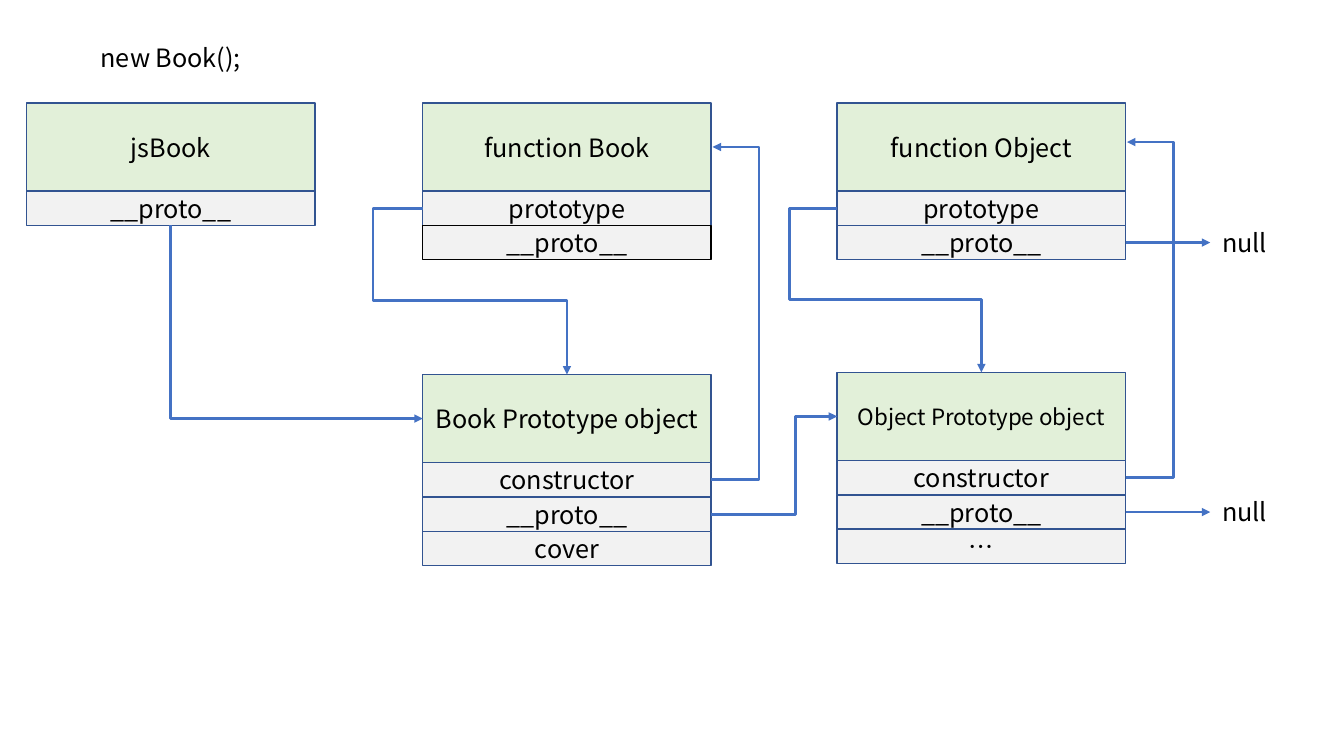
from dataclasses import dataclass

from lxml.etree import SubElement
from pptx import Presentation
from pptx.dml.color import RGBColor
from pptx.enum.shapes import MSO_CONNECTOR, MSO_SHAPE
from pptx.enum.text import MSO_ANCHOR, PP_ALIGN
from pptx.oxml.ns import qn
from pptx.util import Pt


@dataclass(frozen=True)
class Theme:
    font: str = "Noto Sans CJK KR"
    size: float = 18
    small: float = 16
    text: str = "000000"
    header: str = "E2F0D9"
    row: str = "F2F2F2"
    border: str = "325491"
    arrow: str = "4472C4"


T = Theme()
BOX_W, HEAD_H, ROW_H = 206, 63, 24.5
LABEL_W, LABEL_H = 168, 29
TOP, LEFT, BOTTOM, RIGHT = range(4)  # connection sites of a rectangle


def write(sp, text, size=T.size, color=T.text, anchor=MSO_ANCHOR.MIDDLE):
    tf = sp.text_frame
    tf.word_wrap = True
    tf.vertical_anchor = anchor
    p = tf.paragraphs[0]
    p.alignment = PP_ALIGN.CENTER
    r = p.add_run()
    r.text = text
    r.font.name = T.font
    r.font.size = Pt(size)
    r.font.color.rgb = RGBColor.from_string(color)


def cell(s, x, y, h, text, fill, border=T.border, size=T.size):
    sp = s.shapes.add_shape(MSO_SHAPE.RECTANGLE, Pt(x), Pt(y), Pt(BOX_W), Pt(h))
    sp.shadow.inherit = False
    sp.fill.solid()
    sp.fill.fore_color.rgb = RGBColor.from_string(fill)
    sp.line.color.rgb = RGBColor.from_string(border)
    sp.line.width = Pt(1)
    write(sp, text, size)
    return sp


def object_box(s, x, y, title, rows, size=T.size, borders=None):
    """Stack a title and its property rows; return them by name."""
    parts = {"title": cell(s, x, y, HEAD_H, title, T.header, size=size)}
    for i, name in enumerate(rows):
        border = (borders or {}).get(name, T.border)
        parts[name] = cell(s, x, y + HEAD_H + i * ROW_H, ROW_H, name, T.row, border)
    return parts


def label(s, x, y, text):
    sp = s.shapes.add_textbox(Pt(x), Pt(y), Pt(LABEL_W), Pt(LABEL_H))
    write(sp, text, anchor=MSO_ANCHOR.TOP)


def point(sp, site):
    fx, fy = ((0.5, 0), (0, 0.5), (0.5, 1), (1, 0.5))[site]
    return sp.left.pt + fx * sp.width.pt, sp.top.pt + fy * sp.height.pt


def elbow(s, start, end, bend_x=None, bend_y=None, corner=False):
    """Arrow from (shape, site) to (shape, site), or to a free (x, y)."""
    glued = not isinstance(end[0], (int, float))
    x1, y1 = point(*start)
    x2, y2 = point(*end) if glued else end
    c = s.shapes.add_connector(MSO_CONNECTOR.ELBOW, Pt(x1), Pt(y1), Pt(x2), Pt(y2))
    c.begin_connect(*start)
    if glued:
        c.end_connect(*end)
    props = c._element.spPr
    geom = props.find(qn("a:prstGeom"))

    # Bends
    if corner:  # down first, then right: a quarter-turned frame
        w, h = x2 - x1, y2 - y1
        c.left, c.top = Pt((x1 + x2 - h) / 2), Pt((y1 + y2 - w) / 2)
        c.width, c.height = Pt(h), Pt(w)
        frame = props.find(qn("a:xfrm"))
        frame.set("rot", "16200000")
        frame.set("flipH", "1")
        geom.set("prst", "bentConnector2")
    ratios = []
    if bend_x is not None:
        ratios.append((bend_x - x1) / (x2 - x1))
    if bend_y is not None:
        geom.set("prst", "bentConnector4")
        ratios.append((bend_y - y1) / (y2 - y1))
    for i, ratio in enumerate(ratios, 1):
        SubElement(geom.find(qn("a:avLst")), qn("a:gd"),
                   name=f"adj{i}", fmla=f"val {round(ratio * 100000)}")

    # Line and arrowhead
    c.line.color.rgb = RGBColor.from_string(T.arrow)
    c.line.width = Pt(2)
    SubElement(props.find(qn("a:ln")), qn("a:tailEnd"), type="triangle")
    SubElement(props, qn("a:effectLst"))


def null_link(s, row):
    x, y = point(row, RIGHT)
    label(s, x + 1, y - LABEL_H / 2, "null")
    elbow(s, (row, RIGHT), (x + 60.5, y))


def constructor_link(s, proto, func, rise=0):
    x, y = point(func["title"], RIGHT)
    elbow(s, (proto["constructor"], RIGHT), (x + 1, y - rise), bend_x=x + 34.5)


def prototype_link(s, func, proto, reach, bend_y):
    row = func["prototype"]
    elbow(s, (row, LEFT), (proto["title"], TOP), row.left.pt - reach, bend_y)


def prototype_chain(s, x, y):
    book_x, object_x = x + 283, x + 579

    # Object boxes
    js_book = object_box(s, x, y, "jsBook", ["__proto__"])
    book = object_box(s, book_x, y, "function Book", ["prototype", "__proto__"],
                      borders={"__proto__": "000000"})
    book_proto = object_box(s, book_x, y + 194, "Book Prototype object",
                            ["constructor", "__proto__", "cover"])
    obj = object_box(s, object_x, y, "function Object", ["prototype", "__proto__"])
    obj_proto = object_box(s, object_x, y + 192.5, "Object Prototype object",
                           ["constructor", "__proto__", "…"], size=T.small)
    label(s, x + (BOX_W - LABEL_W) / 2, y - 47, "new Book();")

    # Links
    elbow(s, (js_book["__proto__"], BOTTOM), (book_proto["title"], LEFT), corner=True)
    elbow(s, (book_proto["__proto__"], RIGHT), (obj_proto["title"], LEFT),
          bend_x=book_x + BOX_W + 60)
    constructor_link(s, book_proto, book)
    constructor_link(s, obj_proto, obj, rise=3.5)
    prototype_link(s, book, book_proto, reach=35.5, bend_y=y + 141)
    prototype_link(s, obj, obj_proto, reach=34, bend_y=y + 140.5)
    null_link(s, obj["__proto__"])
    null_link(s, obj_proto["__proto__"])


def main():
    prs = Presentation()
    prs.slide_width, prs.slide_height = Pt(960), Pt(540)
    s = prs.slides.add_slide(prs.slide_layouts[6])
    prototype_chain(s, 19, 73.5)
    prs.save("out.pptx")


if __name__ == "__main__":
    main()
